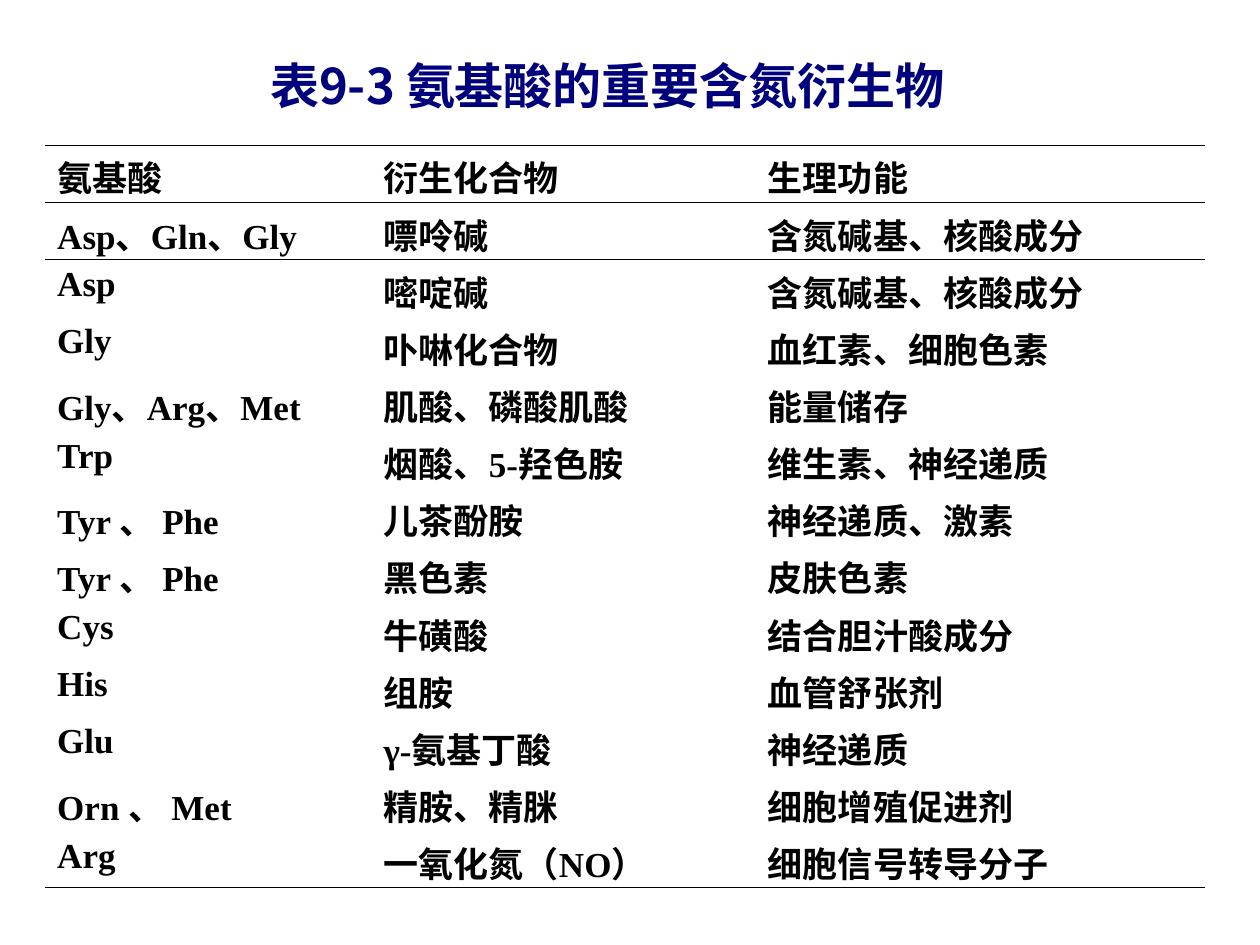
from lxml import etree
from pptx import Presentation
from pptx.dml.color import RGBColor
from pptx.enum.text import MSO_ANCHOR, MSO_AUTO_SIZE, PP_ALIGN
from pptx.oxml.ns import qn
from pptx.util import Pt

CENTER, LEFT = PP_ALIGN.CENTER, PP_ALIGN.LEFT
TOP, MIDDLE = MSO_ANCHOR.TOP, MSO_ANCHOR.MIDDLE
FIXED_SIZE = MSO_AUTO_SIZE.NONE

COLORS = {"title": "00007D", "text": "000000", "rule": "000000"}
HAN_FONT, LATIN_FONT = "Noto Sans CJK SC", "Times New Roman"
PLAIN_TABLE = "{2D5ABB26-0587-4C30-8999-92F81FD0307C}"
RULE_WIDTH = 0.45

TITLE = "表9-3 氨基酸的重要含氮衍生物"
ROWS = [
    ("氨基酸", "衍生化合物", "生理功能"),
    ("Asp、Gln、Gly", "嘌呤碱", "含氮碱基、核酸成分"),
    ("Asp", "嘧啶碱", "含氮碱基、核酸成分"),
    ("Gly", "卟啉化合物", "血红素、细胞色素"),
    ("Gly、Arg、Met", "肌酸、磷酸肌酸", "能量储存"),
    ("Trp", "烟酸、5-羟色胺", "维生素、神经递质"),
    ("Tyr 、 Phe", "儿茶酚胺", "神经递质、激素"),
    ("Tyr 、 Phe", "黑色素", "皮肤色素"),
    ("Cys", "牛磺酸", "结合胆汁酸成分"),
    ("His", "组胺", "血管舒张剂"),
    ("Glu", "γ-氨基丁酸", "神经递质"),
    ("Orn 、 Met", "精胺、精脒", "细胞增殖促进剂"),
    ("Arg", "一氧化氮（NO）", "细胞信号转导分子"),
]
COLUMN_WIDTHS = [186.5, 219.6, 257]
ROW_HEIGHT = 31.9


def set_all(target, values):
    for name, value in values.items():
        setattr(target, name, value)


class SlideBuilder:
    """Holds the text styles and the slide being filled."""

    styles = {
        "title": {"name": HAN_FONT, "size": Pt(28), "bold": True},
        "text": {"name": LATIN_FONT, "size": Pt(20), "bold": True},
    }

    def __init__(self, slide):
        self.slide = slide

    def add_text(self, para, text, style, align):
        para.alignment = align
        span = para.add_run()
        span.text = text
        set_all(span.font, self.styles[style])
        span.font.color.rgb = RGBColor.from_string(COLORS[style])
        # East Asian typeface follows the Latin one
        latin = span.font._element.find(qn("a:latin"))
        east_asian = etree.Element(qn("a:ea"), typeface=HAN_FONT)
        latin.addnext(east_asian)

    def title(self, text, left, top, width, height):
        box = self.slide.shapes.title
        set_all(box, {"left": Pt(left), "top": Pt(top),
                      "width": Pt(width), "height": Pt(height)})
        # The wider left margin sets the centred title a little to the right
        set_all(box.text_frame, {
            "margin_left": Pt(26.6), "margin_right": Pt(7.2),
            "margin_top": Pt(3.6), "margin_bottom": Pt(3.6),
            "word_wrap": True, "auto_size": FIXED_SIZE,
            "vertical_anchor": MIDDLE,
        })
        para = box.text_frame.paragraphs[0]
        set_all(para, {"line_spacing": 0.9, "space_before": Pt(0)})
        self.add_text(para, text, "title", CENTER)

    def rule(self, cell, side):
        line = etree.SubElement(cell._tc.get_or_add_tcPr(), qn(f"a:ln{side}"),
                                w=str(int(Pt(RULE_WIDTH))))
        fill = etree.SubElement(line, qn("a:solidFill"))
        etree.SubElement(fill, qn("a:srgbClr"), val=COLORS["rule"])

    def table(self, rows, left, top, widths, row_height):
        frame = self.slide.shapes.add_table(
            len(rows), len(widths), Pt(left), Pt(top),
            Pt(sum(widths)), Pt(row_height * len(rows)))
        table = frame.table
        set_all(table, {"first_row": False, "horz_banding": False})
        table._tbl.tblPr.find(qn("a:tableStyleId")).text = PLAIN_TABLE
        for column, width in zip(table.columns, widths):
            column.width = Pt(width)
        # Rules: above and below the header, and below the last row
        sides = {0: "TB", 1: "T", len(rows) - 1: "B"}
        for row_index, texts in enumerate(rows):
            table.rows[row_index].height = Pt(row_height)
            for column_index, text in enumerate(texts):
                cell = table.cell(row_index, column_index)
                set_all(cell, {
                    "margin_left": Pt(7.2), "margin_right": Pt(7.2),
                    "margin_top": Pt(3.6), "margin_bottom": Pt(0),
                    "vertical_anchor": TOP,
                })
                for side in sides.get(row_index, ""):
                    self.rule(cell, side)
                cell.fill.background()
                self.add_text(cell.text_frame.paragraphs[0], text, "text", LEFT)


def main():
    deck = Presentation()
    set_all(deck, {"slide_width": Pt(720), "slide_height": Pt(540)})
    page = SlideBuilder(deck.slides.add_slide(deck.slide_layouts[5]))

    # Heading
    page.title(TITLE, 87.8, 31.7, 499, 37.4)

    # Amino acids, their derivatives and functions
    page.table(ROWS, 25.5, 82.8, COLUMN_WIDTHS, ROW_HEIGHT)

    deck.save("out.pptx")


if __name__ == "__main__":
    main()
